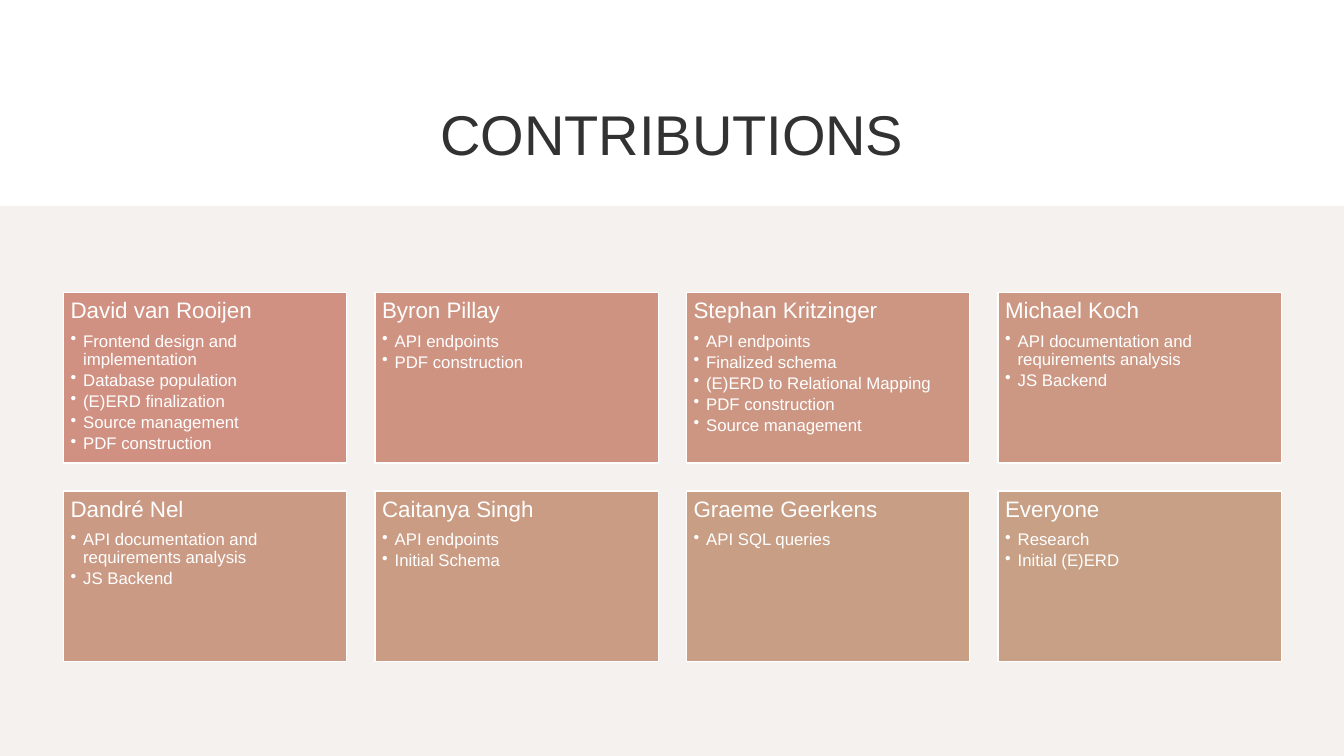
import pptx
import pptx.dml.color
import pptx.enum.shapes
import pptx.enum.text
import pptx.oxml
import pptx.oxml.ns
import pptx.util

Pt = pptx.util.Pt
RGB = pptx.dml.color.RGBColor
TextAlign = pptx.enum.text.PP_ALIGN
Anchor = pptx.enum.text.MSO_ANCHOR

WHITE = RGB(0xFF, 0xFF, 0xFF)
INK = RGB(0x32, 0x32, 0x32)
BAND = RGB(0xF4, 0xF1, 0xEF)

# Content: member, card colour, tasks
HEADING = "CONTRIBUTIONS"
MEMBERS = [
    ("David van Rooijen", RGB(0xD0, 0x91, 0x82), [
        "Frontend design and implementation", "Database population",
        "(E)ERD finalization", "Source management", "PDF construction"]),
    ("Byron Pillay", RGB(0xCF, 0x93, 0x82), ["API endpoints", "PDF construction"]),
    ("Stephan Kritzinger", RGB(0xCD, 0x96, 0x83), [
        "API endpoints", "Finalized schema", "(E)ERD to Relational Mapping",
        "PDF construction", "Source management"]),
    ("Michael Koch", RGB(0xCC, 0x98, 0x83), [
        "API documentation and requirements analysis", "JS Backend"]),
    ("Dandré Nel", RGB(0xCB, 0x9A, 0x84), [
        "API documentation and requirements analysis", "JS Backend"]),
    ("Caitanya Singh", RGB(0xCA, 0x9C, 0x84), ["API endpoints", "Initial Schema"]),
    ("Graeme Geerkens", RGB(0xC8, 0x9E, 0x85), ["API SQL queries"]),
    ("Everyone", RGB(0xC7, 0xA0, 0x85), ["Research", "Initial (E)ERD"]),
]

# Layout in points
SLIDE_W, SLIDE_H = 960, 540
BAND_TOP = 147
COLUMNS = 4
CARD_W, CARD_H, GAP = 202.3, 121.7, 20.2
GRID_LEFT, GRID_TOP = 45.4, 208.9
BULLET_INDENT = 9

CARD_FRAME = {
    "word_wrap": True, "vertical_anchor": Anchor.TOP,
    "margin_left": Pt(5), "margin_top": Pt(5),
    "margin_right": Pt(5), "margin_bottom": Pt(5),
}
NAME_FORMAT = {"alignment": TextAlign.LEFT, "line_spacing": 0.9, "space_after": Pt(6.4)}
TASK_FORMAT = {"alignment": TextAlign.LEFT, "line_spacing": 0.9, "space_after": Pt(2.1),
               "level": 1}


def apply(target, values):
    for key, value in values.items():
        setattr(target, key, value)


def add_rectangle(slide, left, top, width, height, color):
    rectangle = slide.shapes.add_shape(
        pptx.enum.shapes.MSO_SHAPE.RECTANGLE, Pt(left), Pt(top), Pt(width), Pt(height))
    rectangle.shadow.inherit = False
    rectangle.fill.solid()
    rectangle.fill.fore_color.rgb = color
    rectangle.line.fill.background()
    return rectangle


def write(paragraph, text, size, color, layout):
    apply(paragraph, layout)
    run = paragraph.add_run()
    run.text = text
    apply(run.font, {"name": "Arial", "size": Pt(size)})
    run.font.color.rgb = color


def add_bullet(paragraph):
    properties = paragraph._p.get_or_add_pPr()
    properties.set("marL", str(Pt(BULLET_INDENT)))
    properties.set("indent", str(-Pt(BULLET_INDENT)))
    bullet = pptx.oxml.parse_xml(
        f'<a:buChar {pptx.oxml.ns.nsdecls("a")} char="•"/>')
    properties.append(bullet)


def add_card(slide, index, member, color, tasks):
    row, column = divmod(index, COLUMNS)
    card = add_rectangle(slide, GRID_LEFT + column * (CARD_W + GAP),
                         GRID_TOP + row * (CARD_H + GAP), CARD_W, CARD_H, color)
    card.line.color.rgb = WHITE
    card.line.width = Pt(1)
    frame = card.text_frame
    apply(frame, CARD_FRAME)
    write(frame.paragraphs[0], member, 16, WHITE, NAME_FORMAT)
    for task in tasks:
        paragraph = frame.add_paragraph()
        write(paragraph, task, 12, WHITE, TASK_FORMAT)
        add_bullet(paragraph)


def main():
    deck = pptx.Presentation()
    apply(deck, {"slide_width": Pt(SLIDE_W), "slide_height": Pt(SLIDE_H)})
    slide = deck.slides.add_slide(deck.slide_layouts[5])
    slide.background.fill.solid()
    slide.background.fill.fore_color.rgb = WHITE

    # Title
    title = slide.shapes.title
    apply(title, {"left": Pt(112), "top": Pt(55.5), "width": Pt(736), "height": Pt(78.5)})
    apply(title.text_frame, {"vertical_anchor": Anchor.MIDDLE, "word_wrap": True,
                             "auto_size": pptx.enum.text.MSO_AUTO_SIZE.NONE})
    write(title.text_frame.paragraphs[0], HEADING, 40, INK,
          {"alignment": TextAlign.CENTER})

    # Lower band and member cards
    add_rectangle(slide, 0, BAND_TOP, SLIDE_W, SLIDE_H - BAND_TOP, BAND)
    for index, (member, color, tasks) in enumerate(MEMBERS):
        add_card(slide, index, member, color, tasks)

    deck.save("out.pptx")


if __name__ == "__main__":
    main()
